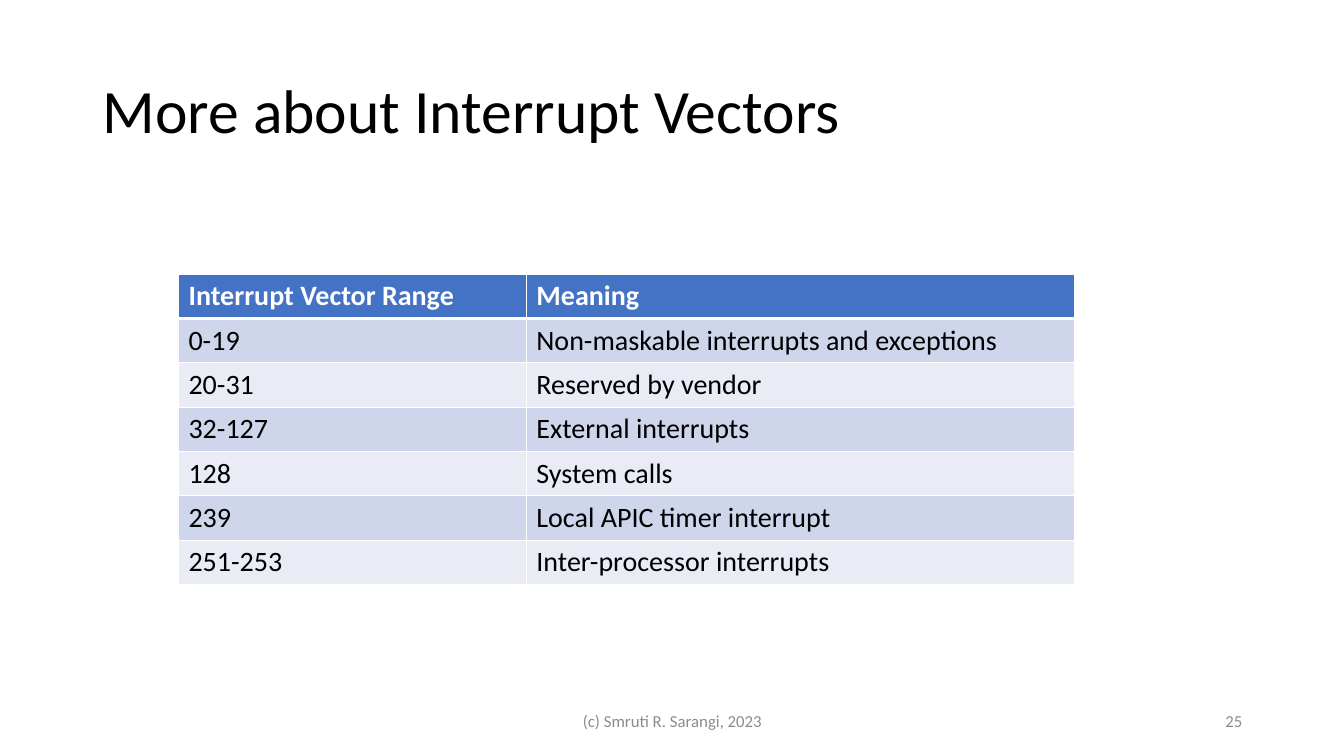
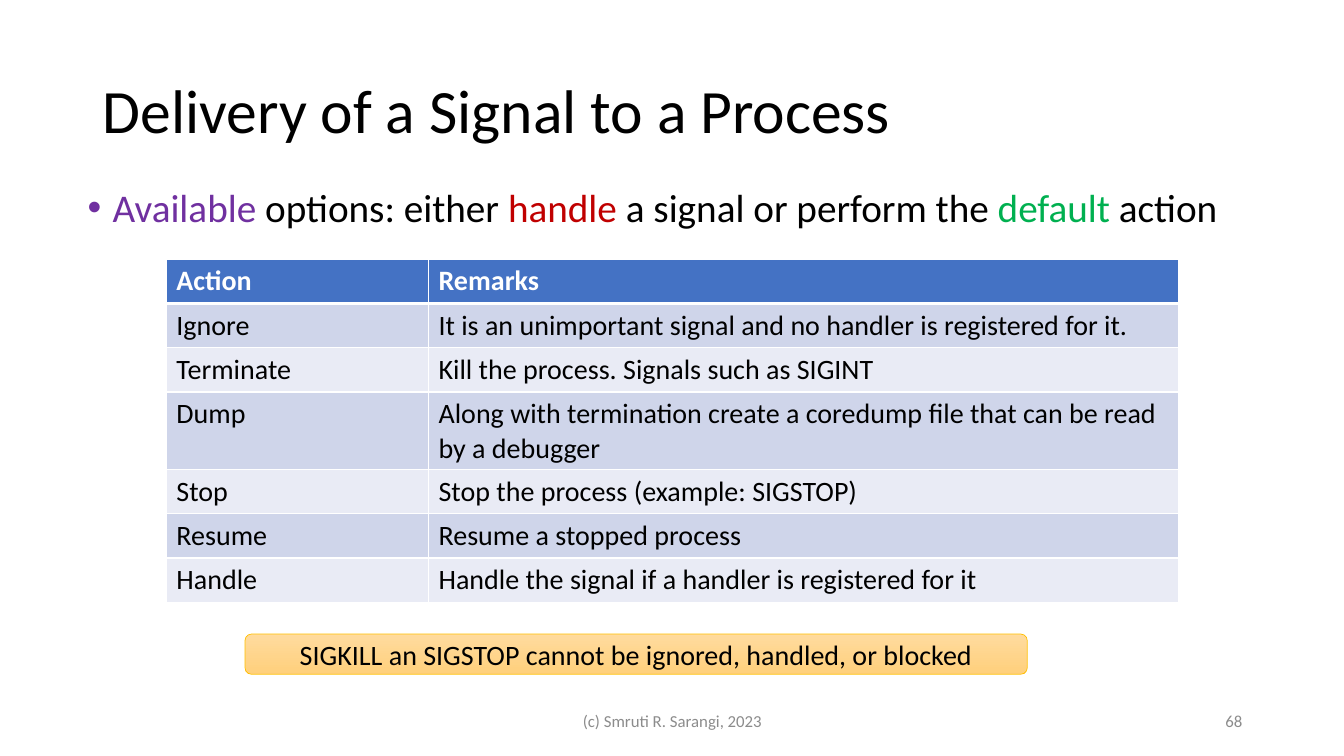
from lxml import etree
from pptx import Presentation
from pptx.dml.color import RGBColor
from pptx.enum.shapes import MSO_SHAPE
from pptx.enum.text import MSO_ANCHOR, PP_ALIGN
from pptx.oxml.ns import qn
from pptx.util import Inches, Pt

LEFT, CENTER, RIGHT = PP_ALIGN.LEFT, PP_ALIGN.CENTER, PP_ALIGN.RIGHT
TOP, MIDDLE = MSO_ANCHOR.TOP, MSO_ANCHOR.MIDDLE
ROUNDED = MSO_SHAPE.ROUNDED_RECTANGLE

FONT = "Calibri"
BLACK, WHITE, GREY = "000000", "FFFFFF", "8C8C8C"
PURPLE, RED, GREEN = "7030A0", "C00000", "00B050"
HEADER, BANDS = "4472C4", ("E9EBF5", "CFD5EA")
GOLD, GOLD_LIGHT, GOLD_DARK = "FFC000", "FFDB9E", "FFD07C"
ROW_HEIGHT = 0.44
TITLE_BOX = (0.92, 0.4, 11.5, 1.45)
FOOTER_BOX = (4.42, 6.95, 4.5, 0.4)
NUMBER_BOX = (9.42, 6.95, 3, 0.4)
COPYRIGHT = "(c) Smruti R. Sarangi, 2023"

VECTORS = [
    ("Interrupt Vector Range", "Meaning"),
    ("0-19", "Non-maskable interrupts and exceptions"),
    ("20-31", "Reserved by vendor"),
    ("32-127", "External interrupts"),
    ("128", "System calls"),
    ("239", "Local APIC timer interrupt"),
    ("251-253", "Inter-processor interrupts"),
]
ACTIONS = [
    ("Action", "Remarks"),
    ("Ignore", "It is an unimportant signal and no handler is registered for it."),
    ("Terminate", "Kill the process. Signals such as SIGINT"),
    ("Dump", "Along with termination create a coredump file that can be read by a debugger"),
    ("Stop", "Stop the process (example: SIGSTOP)"),
    ("Resume", "Resume a stopped process"),
    ("Handle", "Handle the signal if a handler is registered for it"),
]
OPTIONS = [
    ("Available", PURPLE),
    (" options: either ", BLACK),
    ("handle", RED),
    (" a signal or perform the ", BLACK),
    ("default", GREEN),
    (" action", BLACK),
]


def color(value):
    return RGBColor.from_string(value)


def style(para, size, shade=None, bold=False, align=LEFT):
    para.alignment = align
    para.font.name = FONT
    para.font.size = Pt(size)
    para.font.bold = bold
    if shade:
        para.font.color.rgb = color(shade)


def add_text(page, box, text, size, shade, align=LEFT, anchor=MIDDLE):
    frame = page.shapes.add_textbox(*map(Inches, box)).text_frame
    frame.word_wrap = True
    frame.vertical_anchor = anchor
    para = frame.paragraphs[0]
    para.text = text
    style(para, size, shade, align=align)
    return para


def add_page(deck, title, number):
    page = deck.slides.add_slide(deck.slide_layouts[6])
    add_text(page, TITLE_BOX, title, 44, BLACK).line_spacing = 0.9
    add_text(page, FOOTER_BOX, COPYRIGHT, 12, GREY, CENTER)
    add_text(page, NUMBER_BOX, number, 12, GREY, RIGHT)
    return page


def add_bullet(page, box, spans):
    frame = page.shapes.add_textbox(*map(Inches, box)).text_frame
    frame.word_wrap = True
    para = frame.paragraphs[0]
    para.line_spacing = 0.9
    properties = para._p.get_or_add_pPr()
    properties.set("marL", str(Inches(0.25)))
    properties.set("indent", str(-Inches(0.25)))
    etree.SubElement(properties, qn("a:buFont"), typeface="Arial")
    etree.SubElement(properties, qn("a:buChar"), char="•")
    style(para, 28)
    for text, shade in spans:
        span = para.add_run()
        span.text = text
        span.font.color.rgb = color(shade)


def add_borders(cell, widths):
    properties = cell._tc.get_or_add_tcPr()
    for side, width in zip("LRTB", widths):
        line = etree.SubElement(properties, qn(f"a:ln{side}"), w=str(Pt(width)))
        fill = etree.SubElement(line, qn("a:solidFill"))
        etree.SubElement(fill, qn("a:srgbClr"), val=WHITE)


def add_grid(page, left, top, widths, rows):
    frame = page.shapes.add_table(
        len(rows), len(widths), Inches(left), Inches(top),
        Inches(sum(widths)), Inches(ROW_HEIGHT * len(rows)))
    table = frame.table
    for column, width in zip(table.columns, widths):
        column.width = Inches(width)
    for index, values in enumerate(rows):
        table.rows[index].height = Inches(ROW_HEIGHT)
        is_header = index == 0
        above = 3 if index == 1 else 1
        below = 3 if is_header else 1
        for cell, value in zip(table.rows[index].cells, values):
            add_borders(cell, (1, 1, above, below))
            cell.fill.solid()
            cell.fill.fore_color.rgb = color(HEADER if is_header else BANDS[index % 2])
            cell.text = value
            style(cell.text_frame.paragraphs[0], 20,
                  WHITE if is_header else BLACK, bold=is_header)


def add_callout(page, box, text):
    shape = page.shapes.add_shape(ROUNDED, *map(Inches, box))
    shape.shadow.inherit = False
    shape.fill.gradient()
    shape.fill.gradient_angle = 270
    for stop, shade in zip(shape.fill.gradient_stops, (GOLD_LIGHT, GOLD_DARK)):
        stop.color.rgb = color(shade)
    shape.line.color.rgb = color(GOLD)
    shape.line.width = Pt(0.5)
    shape.text_frame.vertical_anchor = MIDDLE
    para = shape.text_frame.paragraphs[0]
    para.text = text
    style(para, 20, BLACK, align=CENTER)


def build_vectors(deck):
    page = add_page(deck, "More about Interrupt Vectors", "25")
    add_grid(page, 1.77, 2.72, (3.45, 5.44), VECTORS)


def build_signals(deck):
    page = add_page(deck, "Delivery of a Signal to a Process", "68")
    add_bullet(page, (0.77, 1.82, 11.5, 0.6), OPTIONS)
    add_grid(page, 1.65, 2.57, (2.6, 7.44), ACTIONS)
    add_callout(page, (2.43, 6.29, 7.76, 0.4),
                "SIGKILL an SIGSTOP cannot be ignored, handled, or blocked")


def main():
    deck = Presentation()
    deck.slide_width = Inches(13.33)
    deck.slide_height = Inches(7.5)
    build_vectors(deck)
    build_signals(deck)
    deck.save("out.pptx")


if __name__ == "__main__":
    main()
